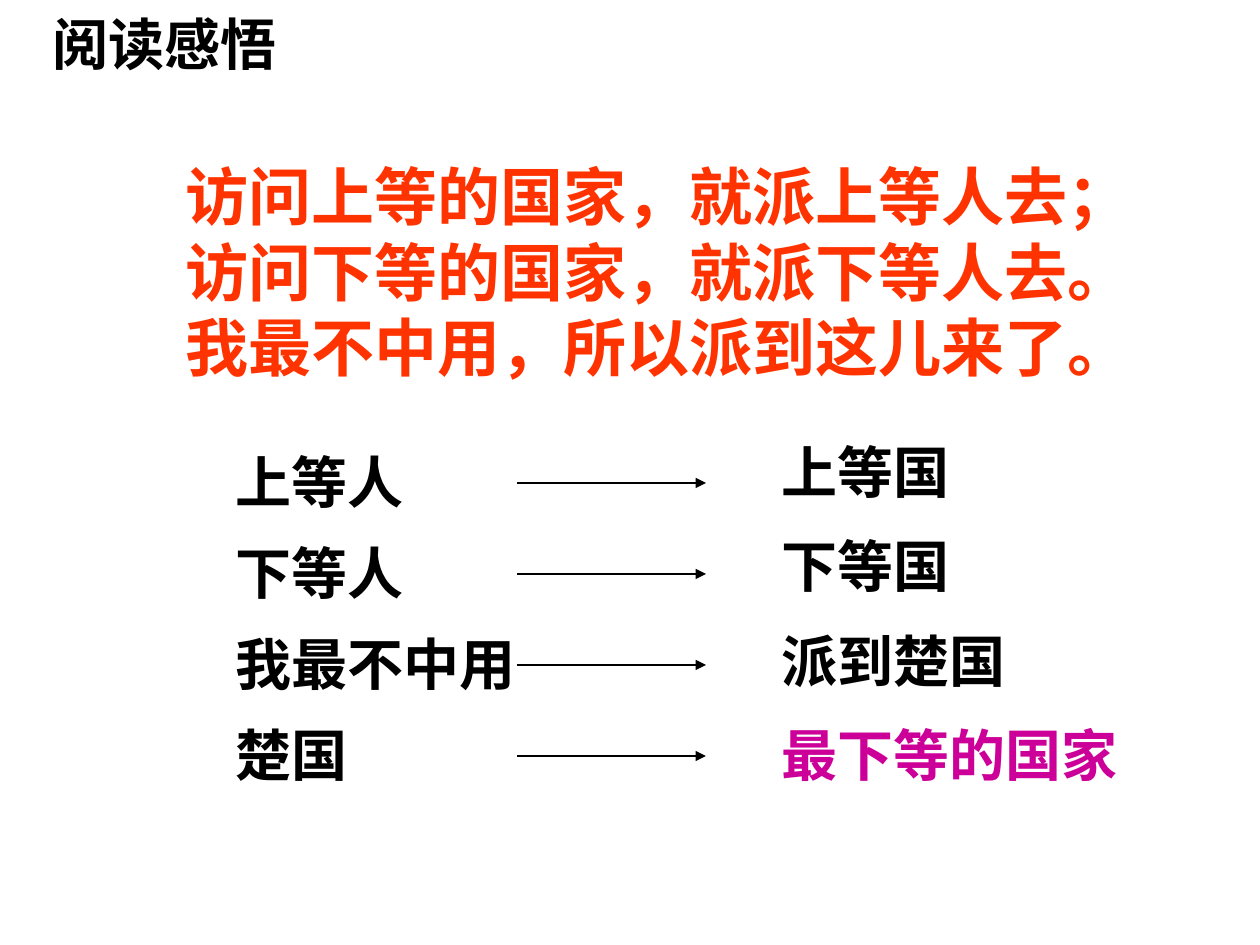
"""Build the reading reflection slide with its four arrow pairs."""
from lxml.etree import SubElement
from pptx import Presentation
from pptx.dml.color import RGBColor
from pptx.enum.shapes import MSO_CONNECTOR
from pptx.enum.text import MSO_ANCHOR, MSO_AUTO_SIZE, PP_ALIGN
from pptx.oxml.ns import qn
from pptx.util import Pt

PX = 914400 / 126


def px(*lengths):
    return [round(n * PX) for n in lengths]


def write(sp, text, size, font, color, align=PP_ALIGN.LEFT):
    tf = sp.text_frame
    tf.word_wrap = True
    tf.auto_size = MSO_AUTO_SIZE.NONE
    tf.text = text
    p = tf.paragraphs[0]
    p.alignment = align
    r = p.runs[0]
    r.font.size = Pt(size)
    r.font.name = font
    r.font.bold = True
    r.font.color.rgb = RGBColor.from_string(color)


prs = Presentation()
prs.slide_width, prs.slide_height = px(1260, 945)
s = prs.slides.add_slide(prs.slide_layouts[5])

title = s.shapes.title
title.left, title.top, title.width, title.height = px(144, 145, 1029, 252)
title.text_frame.vertical_anchor = MSO_ANCHOR.MIDDLE
write(title, "访问上等的国家，就派上等人去；访问下等的国家，就派下等人去。我最不中用，所以派到这儿来了。",
      36, "Arial", "FF3300", PP_ALIGN.CENTER)

heading = s.shapes.add_textbox(*px(1, 3, 328, 81))
write(heading, "阅读感悟", 32, "Arial", "000000", PP_ALIGN.CENTER)

pairs = [
    ("上等人", 294, "上等国", 220, "000000"),
    ("下等人", 284, "下等国", 199, "000000"),
    ("我最不中用", 325, "派到楚国", 284, "000000"),
    ("楚国", 210, "最下等的国家", 378, "CC0099"),
]
for i, (person, person_w, country, country_w, color) in enumerate(pairs):
    sp = s.shapes.add_textbox(*px(223, 441 + 91 * i, person_w, 81))
    write(sp, person, 32, "Times New Roman", "000000")
    sp = s.shapes.add_textbox(*px(769, 431 + 189 * i // 2, country_w, 81))
    write(sp, country, 32, "Times New Roman", color)

    y = 483 + 91 * i
    arrow = s.shapes.add_connector(MSO_CONNECTOR.STRAIGHT, *px(517, y, 706, y))
    arrow.line.width = Pt(0.75)
    arrow.line.color.rgb = RGBColor.from_string("000000")
    SubElement(arrow.line._get_or_add_ln(), qn("a:tailEnd"), type="triangle")
    SubElement(arrow._element.spPr, qn("a:effectLst"))

prs.save("out.pptx")
